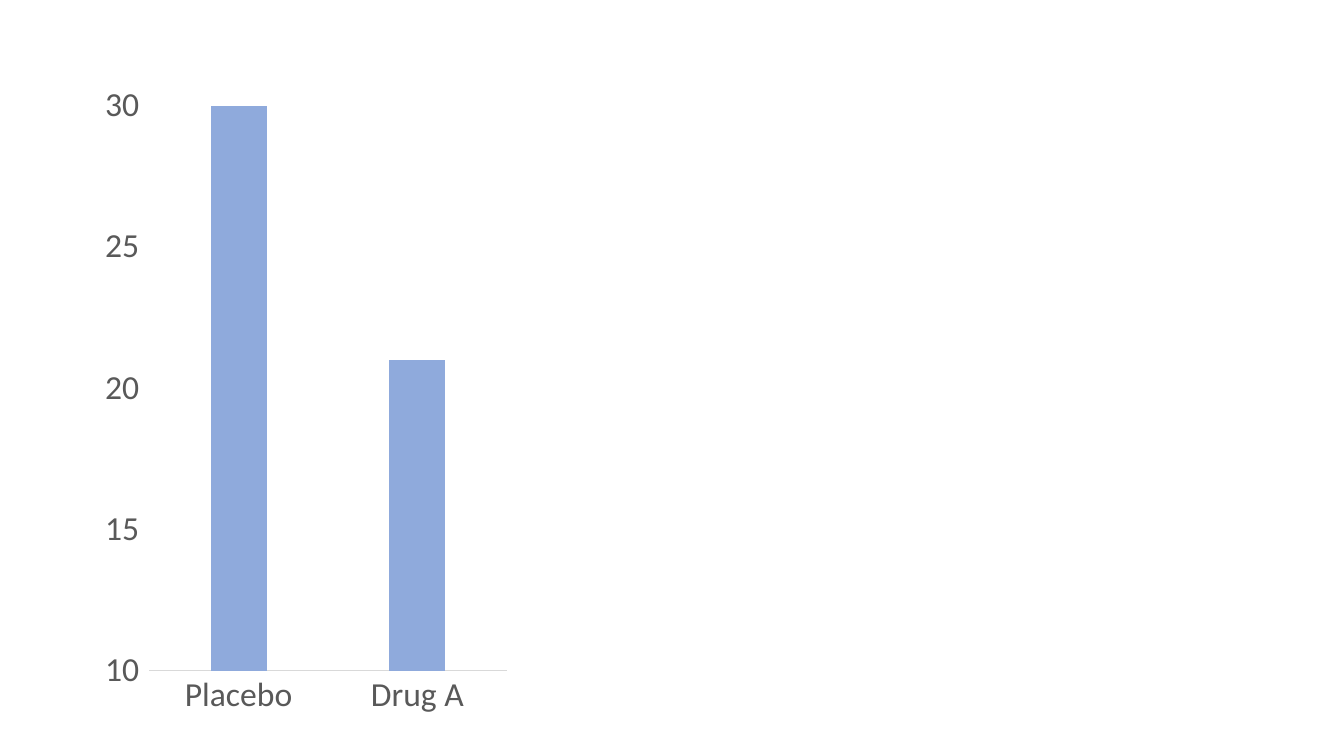
import pptx
import pptx.util
import pptx.chart.data
import pptx.dml.color
import pptx.enum.chart

Inches = pptx.util.Inches
Pt = pptx.util.Pt
RGBColor = pptx.dml.color.RGBColor

BAR_BLUE = RGBColor(0x8F, 0xAA, 0xDC)
LABEL_GRAY = RGBColor(0x59, 0x59, 0x59)
AXIS_GRAY = RGBColor(0xD9, 0xD9, 0xD9)

prs = pptx.Presentation()
prs.slide_width = Inches(13.33)
prs.slide_height = Inches(7.5)
s = prs.slides.add_slide(prs.slide_layouts[6])

data = pptx.chart.data.CategoryChartData()
data.categories = ["Placebo", "Drug A"]
data.add_series("Series 1", [30, 21])

chart = s.shapes.add_chart(
    pptx.enum.chart.XL_CHART_TYPE.COLUMN_CLUSTERED,
    Inches(0.96), Inches(0.35), Inches(4.15), Inches(6.89), data,
).chart
chart.has_title = False
chart.has_legend = False
chart.font.name = "Calibri"
chart.font.size = Pt(24)
chart.font.color.rgb = LABEL_GRAY

plot = chart.plots[0]
plot.gap_width = 219
plot.vary_by_categories = False
bars = plot.series[0]
bars.format.fill.solid()
bars.format.fill.fore_color.rgb = BAR_BLUE

cat_axis = chart.category_axis
cat_axis.major_tick_mark = pptx.enum.chart.XL_TICK_MARK.NONE
cat_axis.format.line.color.rgb = AXIS_GRAY
cat_axis.format.line.width = Pt(0.75)

val_axis = chart.value_axis
val_format = {
    "minimum_scale": 10,
    "maximum_scale": 32,
    "major_unit": 5,
    "has_major_gridlines": False,
    "major_tick_mark": pptx.enum.chart.XL_TICK_MARK.OUTSIDE,
}
for name, value in val_format.items():
    setattr(val_axis, name, value)
val_axis.format.line.fill.background()

prs.save("out.pptx")
